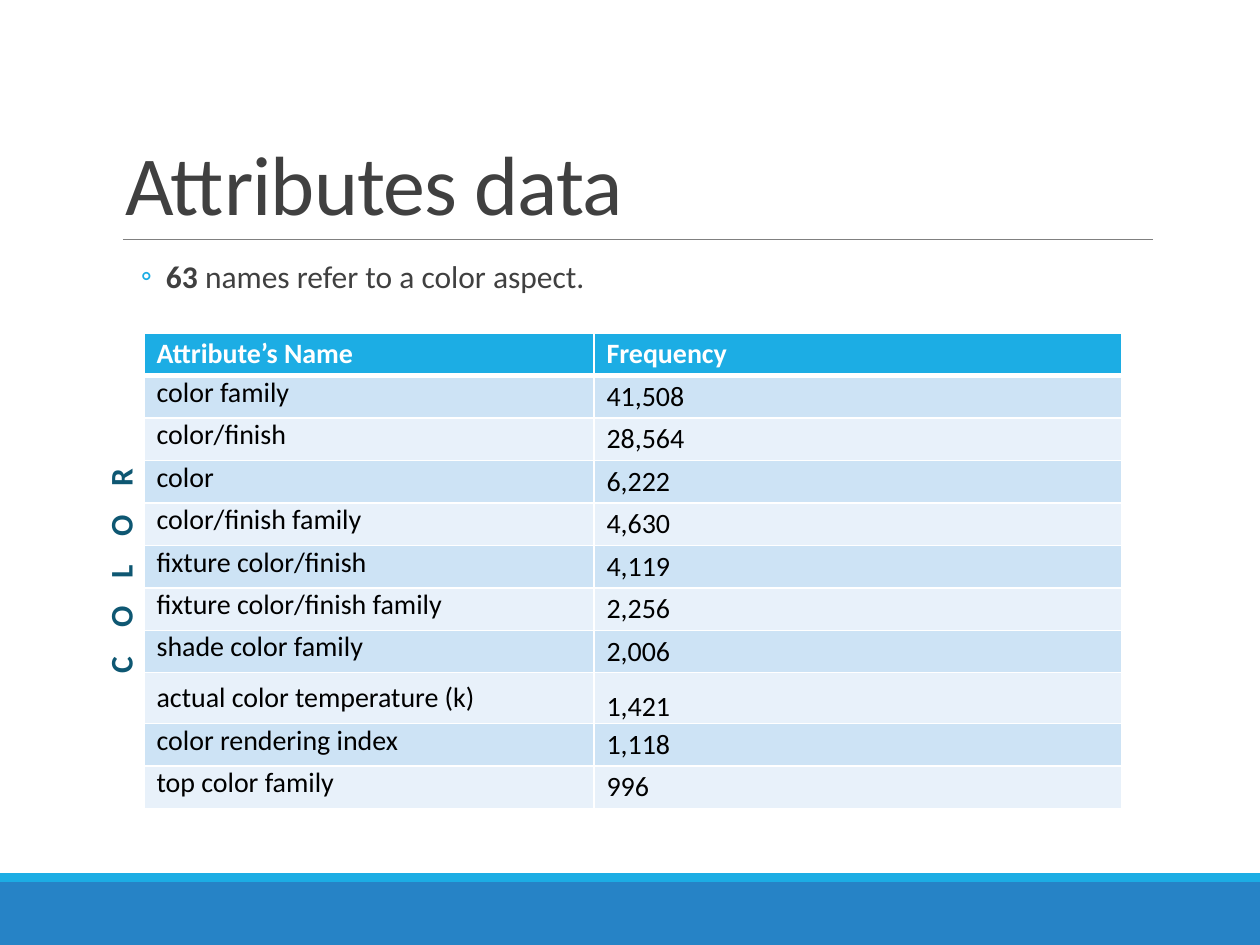
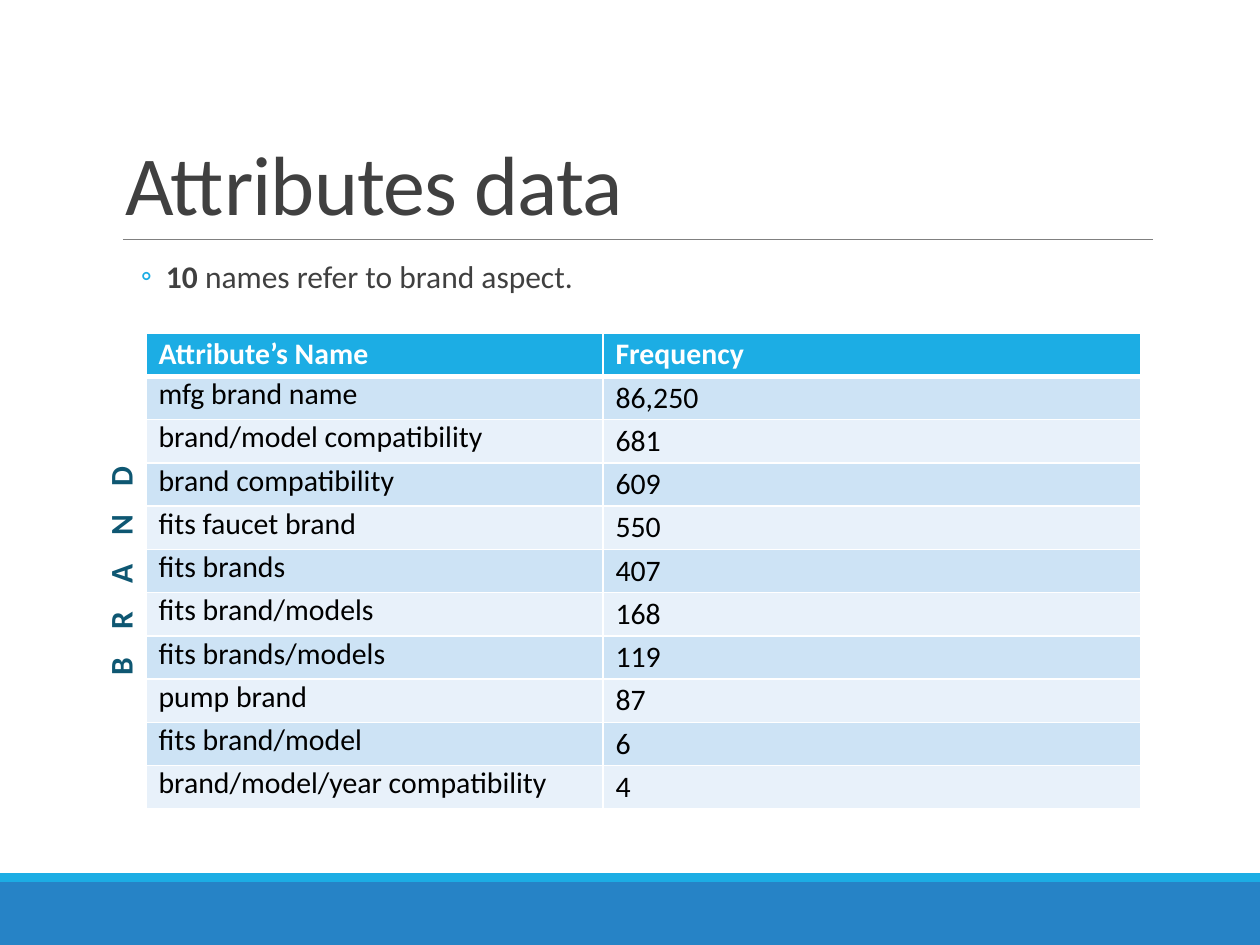
from dataclasses import dataclass

from lxml.etree import SubElement
from pptx import Presentation
from pptx.dml.color import RGBColor
from pptx.enum.shapes import MSO_CONNECTOR, MSO_SHAPE
from pptx.enum.text import MSO_ANCHOR as Anchor, PP_ALIGN as Align
from pptx.oxml.ns import qn
from pptx.util import Pt

EMU_PER_PX = 914400 / 126
SLIDE_WIDTH, SLIDE_HEIGHT = 1260, 945
TABLE_TOP, TABLE_HEIGHT = 333, 476


@dataclass(frozen=True)
class Theme:
    font: str = "Calibri"
    accent: str = "1CADE4"
    footer: str = "2683C6"
    rule: str = "808080"
    text: str = "404040"
    label: str = "0E5772"
    white: str = "FFFFFF"
    black: str = "000000"
    row_fills: tuple = ("CDE3F5", "E8F1FA")
    title_size: int = 48
    body_size: int = 18


THEME = Theme()

COLOR_ROWS = [
    ("color family", "41,508"),
    ("color/finish", "28,564"),
    ("color", "6,222"),
    ("color/finish family", "4,630"),
    ("fixture color/finish", "4,119"),
    ("fixture color/finish family", "2,256"),
    ("shade color family", "2,006"),
    ("actual color temperature (k)", "1,421"),
    ("color rendering index", "1,118"),
    ("top color family", "996"),
]
BRAND_ROWS = [
    ("mfg brand name", "86,250"),
    ("brand/model compatibility", "681"),
    ("brand compatibility", "609"),
    ("fits faucet brand", "550"),
    ("fits brands", "407"),
    ("fits brand/models", "168"),
    ("fits brands/models", "119"),
    ("pump brand", "87"),
    ("fits brand/model", "6"),
    ("brand/model/year compatibility", "4"),
]


def px(length):
    return round(length * EMU_PER_PX)


def rgb(color):
    return RGBColor.from_string(color)


def style_font(paragraph, size, color, bold=None):
    font = paragraph.font
    font.name, font.size, font.bold = THEME.font, Pt(size), bold
    font.color.rgb = rgb(color)


def track(run, points):
    """Set the space between the letters of a run."""
    run._r.get_or_add_rPr().set("spc", str(round(points * 100)))


def add_run(paragraph, text):
    run = paragraph.add_run()
    run.text = text
    return run


def add_text_box(slide, left, top, width, height):
    box = slide.shapes.add_textbox(px(left), px(top), px(width), px(height))
    box.text_frame.word_wrap = True
    return box


def add_band(slide, top, height, color):
    band = slide.shapes.add_shape(
        MSO_SHAPE.RECTANGLE, 0, px(top), px(SLIDE_WIDTH), px(height))
    band.shadow.inherit = False
    band.fill.solid()
    band.fill.fore_color.rgb = rgb(color)
    band.line.fill.background()


def add_title_rule(slide):
    rule = slide.shapes.add_connector(
        MSO_CONNECTOR.STRAIGHT, px(123), px(239), px(1153), px(239))
    rule.line.color.rgb = rgb(THEME.rule)
    rule.line.width = Pt(0.5)
    SubElement(rule._element.spPr, qn("a:effectLst"))


def add_title(slide, text):
    frame = add_text_box(slide, 113, 39, 1040, 200).text_frame
    frame.vertical_anchor = Anchor.BOTTOM
    paragraph = frame.paragraphs[0]
    paragraph.line_spacing = 0.85
    style_font(paragraph, THEME.title_size, THEME.text)
    track(add_run(paragraph, text), -0.5)


def set_bullet(paragraph, symbol, color):
    properties = paragraph._p.get_or_add_pPr()
    properties.set("marL", str(px(53)))
    properties.set("indent", str(px(-25)))
    bullet_color = SubElement(properties, qn("a:buClr"))
    SubElement(bullet_color, qn("a:srgbClr"), val=color)
    SubElement(properties, qn("a:buFont"), typeface=THEME.font)
    SubElement(properties, qn("a:buChar"), char=symbol)


def add_finding(slide, count, statement):
    """Write the bulleted line that opens with a bold count."""
    frame = add_text_box(slide, 113, 255, 1040, 554).text_frame
    frame.margin_left = frame.margin_right = 0
    paragraph = frame.paragraphs[0]
    paragraph.level = 1
    paragraph.line_spacing = 0.9
    paragraph.space_before, paragraph.space_after = Pt(2), Pt(4)
    set_bullet(paragraph, "◦", THEME.accent)
    style_font(paragraph, THEME.body_size, THEME.text)
    add_run(paragraph, count).font.bold = True
    add_run(paragraph, " " + statement)


def add_side_label(slide, word):
    """Write a widely tracked word that reads upwards beside the table."""
    box = add_text_box(slide, -118, 546, TABLE_HEIGHT, 50)
    box.rotation = 270
    paragraph = box.text_frame.paragraphs[0]
    paragraph.alignment = Align.CENTER
    style_font(paragraph, THEME.body_size, THEME.label, bold=True)
    track(add_run(paragraph, " ".join(word[:-1]) + " "), 6.1)
    add_run(paragraph, word[-1])


def set_borders(cell, bottom_width):
    properties = cell._tc.get_or_add_tcPr()
    for side, width in (("L", 1), ("R", 1), ("T", 1), ("B", bottom_width)):
        border = SubElement(properties, qn(f"a:ln{side}"), w=str(Pt(width)))
        fill = SubElement(border, qn("a:solidFill"))
        SubElement(fill, qn("a:srgbClr"), val=THEME.white)


def fill_cell(cell, text, size, color, fill, anchor, bold=False, border=1):
    set_borders(cell, border)
    cell.fill.solid()
    cell.fill.fore_color.rgb = rgb(fill)
    cell.margin_top = cell.margin_bottom = 0
    cell.vertical_anchor = anchor
    paragraph = cell.text_frame.paragraphs[0]
    add_run(paragraph, text)
    style_font(paragraph, size, color, bold)
    return paragraph


def set_row_heights(table, tall_row, tall_height):
    """Share the table height evenly, after any one taller row."""
    count = len(table.rows)
    if tall_row:
        even_height = (TABLE_HEIGHT - tall_height) / (count - 1)
    else:
        even_height = TABLE_HEIGHT / count
    for index, row in enumerate(table.rows):
        row.height = px(tall_height if index == tall_row else even_height)


def add_frequency_table(slide, rows, left, column_widths, size, tall_row=None):
    table = slide.shapes.add_table(
        len(rows) + 1, 2, px(left), px(TABLE_TOP),
        px(sum(column_widths)), px(TABLE_HEIGHT)).table
    for column, width in zip(table.columns, column_widths):
        column.width = px(width)
    set_row_heights(table, tall_row, 51)

    for column, heading in enumerate(("Attribute’s Name", "Frequency")):
        fill_cell(table.cell(0, column), heading, size, THEME.white,
                  THEME.accent, Anchor.MIDDLE, bold=True, border=3)
    for index, (name, frequency) in enumerate(rows, start=1):
        fill = THEME.row_fills[(index - 1) % 2]
        is_tall = index == tall_row
        name_anchor = Anchor.MIDDLE if is_tall else Anchor.TOP
        fill_cell(table.cell(index, 0), name, size, THEME.black, fill, name_anchor)
        paragraph = fill_cell(table.cell(index, 1), frequency, size,
                              THEME.black, fill, Anchor.MIDDLE)
        if is_tall:
            paragraph.line_spacing = 1.5


def add_attribute_slide(presentation, count, statement, label):
    slide = presentation.slides.add_slide(presentation.slide_layouts[6])
    add_band(slide, 882, 63, THEME.footer)
    add_band(slide, 873, 9, THEME.accent)
    add_title_rule(slide)
    add_title(slide, "Attributes data")
    add_finding(slide, count, statement)
    add_side_label(slide, label)
    return slide


def main():
    presentation = Presentation()
    presentation.slide_width = px(SLIDE_WIDTH)
    presentation.slide_height = px(SLIDE_HEIGHT)

    color_slide = add_attribute_slide(
        presentation, "63", "names refer to a color aspect.", "COLOR")
    add_frequency_table(color_slide, COLOR_ROWS, 144, (450, 528), 16, tall_row=8)

    brand_slide = add_attribute_slide(
        presentation, "10", "names refer to brand aspect.", "BRAND")
    add_frequency_table(brand_slide, BRAND_ROWS, 146, (457, 538), 17)

    presentation.save("out.pptx")


if __name__ == "__main__":
    main()
